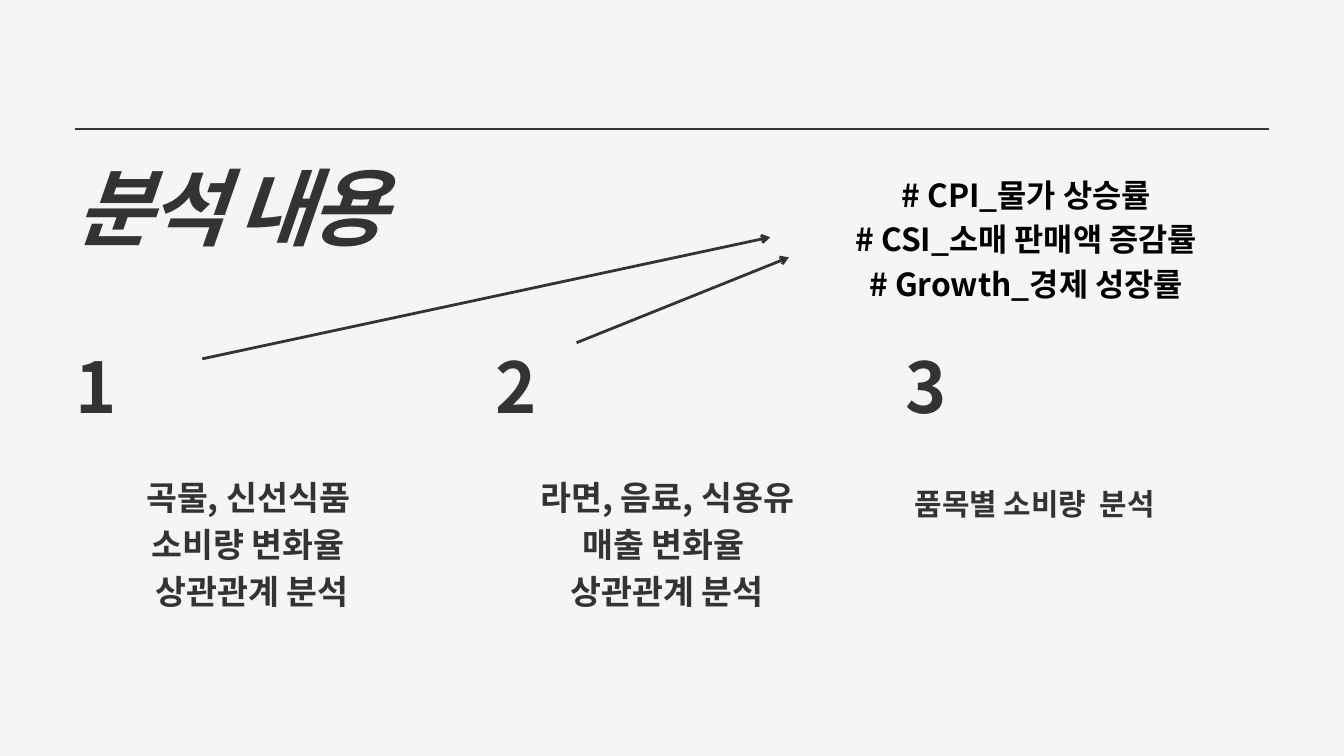
from lxml import etree
from pptx import Presentation
from pptx.dml.color import RGBColor
from pptx.enum import shapes, text
from pptx.oxml.ns import qn
from pptx.util import Inches, Pt

FONT = "Noto Sans CJK KR"
COLORS = {"background": "F5F5F4", "ink": "333333", "black": "000000"}

# Content
TITLE = "분석 내용"
INDICATORS = ["# CPI_물가 상승률", "# CSI_소매 판매액 증감률", "# Growth_경제 성장률"]
# number, number left, text box (left, top, height), size, centred, lines
TOPICS = [
    ("1", 1.12, (1.12, 6.99, 3.05), 36, True,
     ["곡물, 신선식품 ", "소비량 변화율 ", "상관관계 분석"]),
    ("2", 7.37, (7.3, 6.99, 2.08), 36, True,
     ["라면, 음료, 식용유", "매출 변화율 ", "상관관계 분석"]),
    ("3", 13.48, (13.61, 7.14, 0.6), 32, False,
     ["품목별 소비량  분석"]),
]
# start x, start y, end x, end y
RULE = (1.12, 1.92, 18.88, 1.92)
ARROWS = [(3.01, 5.34, 11.46, 3.53), (8.58, 5.1, 11.74, 3.83)]

COLUMN_W = 5.26
HEADING_SPACING = 1.2
BODY_SPACING = 1.4


def add_text(slide, box, lines, size, spacing, color="ink", centred=False,
             italic=False, tracking=None):
    sp = slide.shapes.add_textbox(*(Inches(v) for v in box))
    tf = sp.text_frame
    tf.word_wrap = True
    tf.auto_size = text.MSO_AUTO_SIZE.SHAPE_TO_FIT_TEXT
    tf.margin_left = tf.margin_right = tf.margin_top = tf.margin_bottom = 0
    tf.text = "\n".join(lines)
    for p in tf.paragraphs:
        p.alignment = text.PP_ALIGN.CENTER if centred else text.PP_ALIGN.LEFT
        p.line_spacing = Pt(round(size * spacing, 1))
        for r in p.runs:
            r.font.name = FONT
            r.font.size = Pt(size)
            r.font.bold = True
            r.font.italic = italic
            r.font.color.rgb = RGBColor.from_string(COLORS[color])
            rpr = r.font._element
            rpr.find(qn("a:latin")).addnext(
                etree.Element(qn("a:ea"), typeface=FONT))
            if tracking is not None:
                rpr.set("spc", str(round(tracking * 100)))


def add_line(slide, ends, width, arrow=False):
    line = slide.shapes.add_connector(
        shapes.MSO_CONNECTOR.STRAIGHT, *(Inches(v) for v in ends))
    line.line.color.rgb = RGBColor.from_string(COLORS["ink"])
    line.line.width = Pt(width)
    if arrow:
        etree.SubElement(line.line._get_or_add_ln(), qn("a:tailEnd"), type="arrow")
    etree.SubElement(line._element.spPr, qn("a:effectLst"))


def main():
    prs = Presentation()
    prs.slide_width, prs.slide_height = Inches(20), Inches(11.25)
    slide = prs.slides.add_slide(prs.slide_layouts[6])
    fill = slide.background.fill
    fill.solid()
    fill.fore_color.rgb = RGBColor.from_string(COLORS["background"])

    # Title
    add_text(slide, (1.12, 2.31, 12.35, 1.52), [TITLE], 90, HEADING_SPACING,
             italic=True, tracking=-4.4)

    # Numbered topics
    for number, number_x, (x, y, h), size, centred, lines in TOPICS:
        add_text(slide, (x, y, COLUMN_W, h), lines, size, BODY_SPACING,
                 centred=centred)
        add_text(slide, (number_x, 5.11, COLUMN_W, 1.25), [number], 75,
                 HEADING_SPACING)

    # Rule, indicators and the arrows leading to them
    add_line(slide, RULE, 2.25)
    add_text(slide, (12.56, 2.52, 5.42, 1.95), INDICATORS, 34, BODY_SPACING,
             color="black", centred=True)
    for ends in ARROWS:
        add_line(slide, ends, 3, arrow=True)

    prs.save("out.pptx")


if __name__ == "__main__":
    main()
